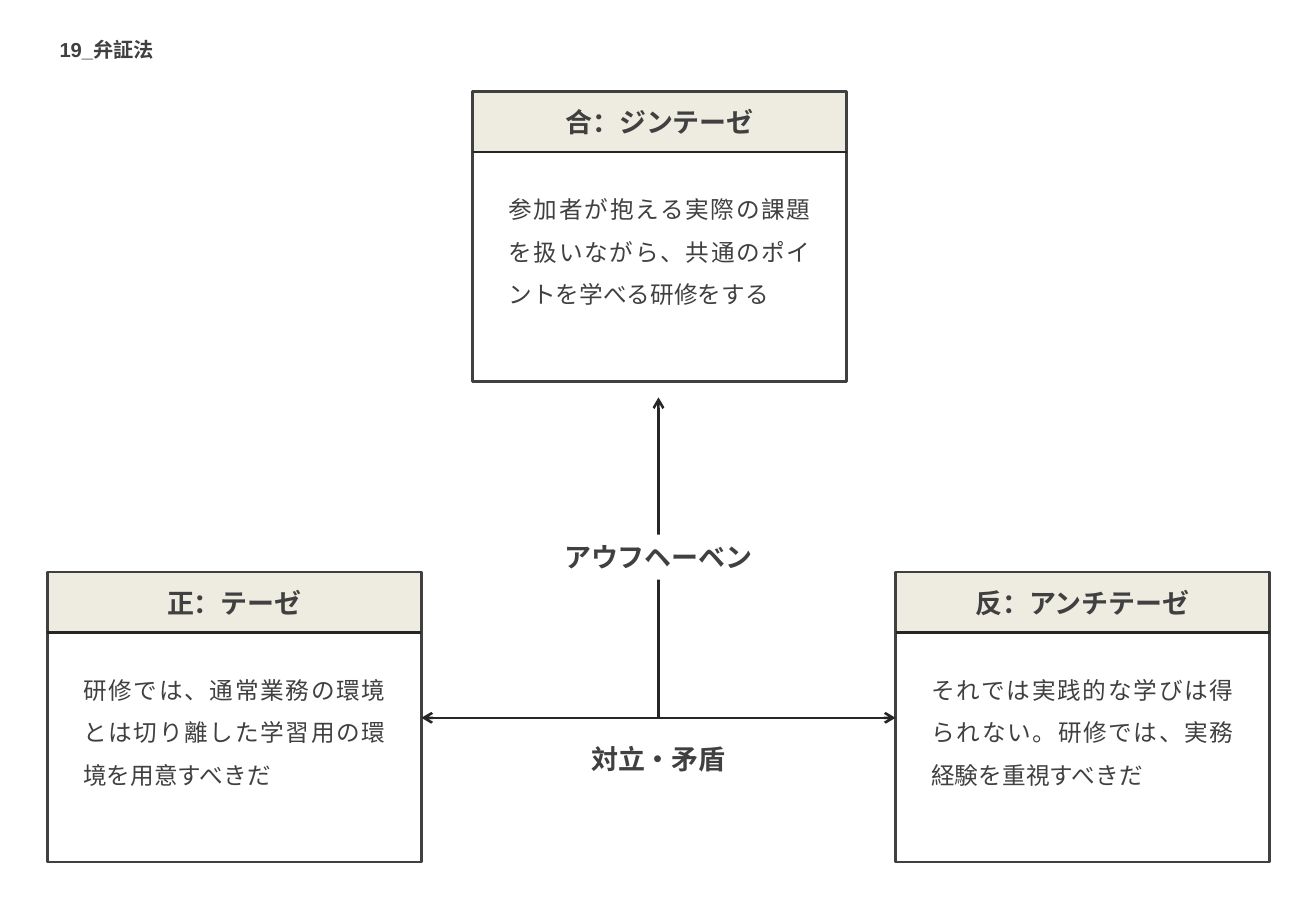
from lxml.etree import SubElement
from pptx import Presentation
from pptx.dml.color import RGBColor
from pptx.enum.shapes import MSO_CONNECTOR, MSO_SHAPE
from pptx.enum.text import MSO_ANCHOR, PP_ALIGN
from pptx.oxml.ns import qn
from pptx.util import Cm, Pt

COLORS = {"text": "404040", "line": "262626", "header": "EEECE1", "label": "FFFFFF"}
HEADING = {"size": Pt(16), "bold": True}
BODY = {"size": Pt(14), "bold": False}
TITLE = {"size": Pt(12), "bold": True}


def write(box, text, style, align, anchor=MSO_ANCHOR.TOP, spacing=1.0):
    frame = box.text_frame
    frame.word_wrap = True
    frame.vertical_anchor = anchor
    para = frame.paragraphs[0]
    para.alignment = align
    para.line_spacing = spacing
    span = para.add_run()
    span.text = text
    for name, value in {"name": "Arial", **style}.items():
        setattr(span.font, name, value)
    span.font.color.rgb = RGBColor.from_string(COLORS["text"])


def draw_line(shapes, x1, y1, x2, y2, arrows=()):
    line = shapes.add_connector(MSO_CONNECTOR.STRAIGHT, Cm(x1), Cm(y1), Cm(x2), Cm(y2))
    line.line.width = Pt(1.5)
    line.line.color.rgb = RGBColor.from_string(COLORS["line"])
    outline = line.line._get_or_add_ln()
    for end in arrows:
        SubElement(outline, qn(f"a:{end}"), type="arrow")
    SubElement(line._element.spPr, qn("a:effectLst"))


deck = Presentation()
deck.slide_width, deck.slide_height = Cm(27.51), Cm(19.05)
page = deck.slides.add_slide(deck.slide_layouts[5])

title = page.shapes.title
title.left, title.top, title.width, title.height = Cm(0.99), Cm(0.66), Cm(2.49), Cm(0.76)
write(title, "19_弁証法", TITLE, PP_ALIGN.LEFT)

card_width, card_height, header_height = 7.82, 6.07, 1.27
thesis_left, antithesis_left, synthesis_left = 0.99, 18.72, 9.88
lower_top, upper_top = 11.96, 1.91
cards = [
    (thesis_left, lower_top, "正：テーゼ",
     "研修では、通常業務の環境とは切り離した学習用の環境を用意すべきだ"),
    (antithesis_left, lower_top, "反：アンチテーゼ",
     "それでは実践的な学びは得られない。研修では、実務経験を重視すべきだ"),
    (synthesis_left, upper_top, "合：ジンテーゼ",
     "参加者が抱える実際の課題を扱いながら、共通のポイントを学べる研修をする"),
]
for left, top, heading, body in cards:
    shapes = page.shapes.add_group_shape().shapes

    header = shapes.add_shape(MSO_SHAPE.RECTANGLE, Cm(left), Cm(top),
                              Cm(card_width), Cm(header_height))
    header.shadow.inherit = False
    header.fill.solid()
    header.fill.fore_color.rgb = RGBColor.from_string(COLORS["header"])
    header.line.fill.background()

    border = shapes.add_shape(MSO_SHAPE.RECTANGLE, Cm(left), Cm(top),
                              Cm(card_width), Cm(card_height))
    border.shadow.inherit = False
    border.fill.background()
    border.line.width = Pt(1.5)
    border.line.color.rgb = RGBColor.from_string(COLORS["text"])

    header_bottom = top + header_height
    draw_line(shapes, left, header_bottom, left + card_width, header_bottom)

    box = shapes.add_textbox(Cm(left), Cm(top + 0.17), Cm(card_width), Cm(0.94))
    write(box, heading, HEADING, PP_ALIGN.CENTER, MSO_ANCHOR.MIDDLE)
    box = shapes.add_textbox(Cm(left + 0.5), Cm(top + 1.75), Cm(card_width - 1), Cm(2.87))
    write(box, body, BODY, PP_ALIGN.JUSTIFY, spacing=1.5)

thesis_right = thesis_left + card_width
axis_x = (thesis_right + antithesis_left) / 2
axis_y = 15.01
draw_line(page.shapes, thesis_right, axis_y, antithesis_left, axis_y, ("headEnd", "tailEnd"))
draw_line(page.shapes, axis_x, axis_y, axis_x, 8.31, ("tailEnd",))

label_width = 6.25
for text, top in [("アウフヘーベン", 11.18), ("対立・矛盾", 15.39)]:
    label = page.shapes.add_textbox(Cm(axis_x - label_width / 2), Cm(top),
                                    Cm(label_width), Cm(0.94))
    label.fill.solid()
    label.fill.fore_color.rgb = RGBColor.from_string(COLORS["label"])
    write(label, text, HEADING, PP_ALIGN.CENTER, MSO_ANCHOR.MIDDLE)

deck.save("out.pptx")
